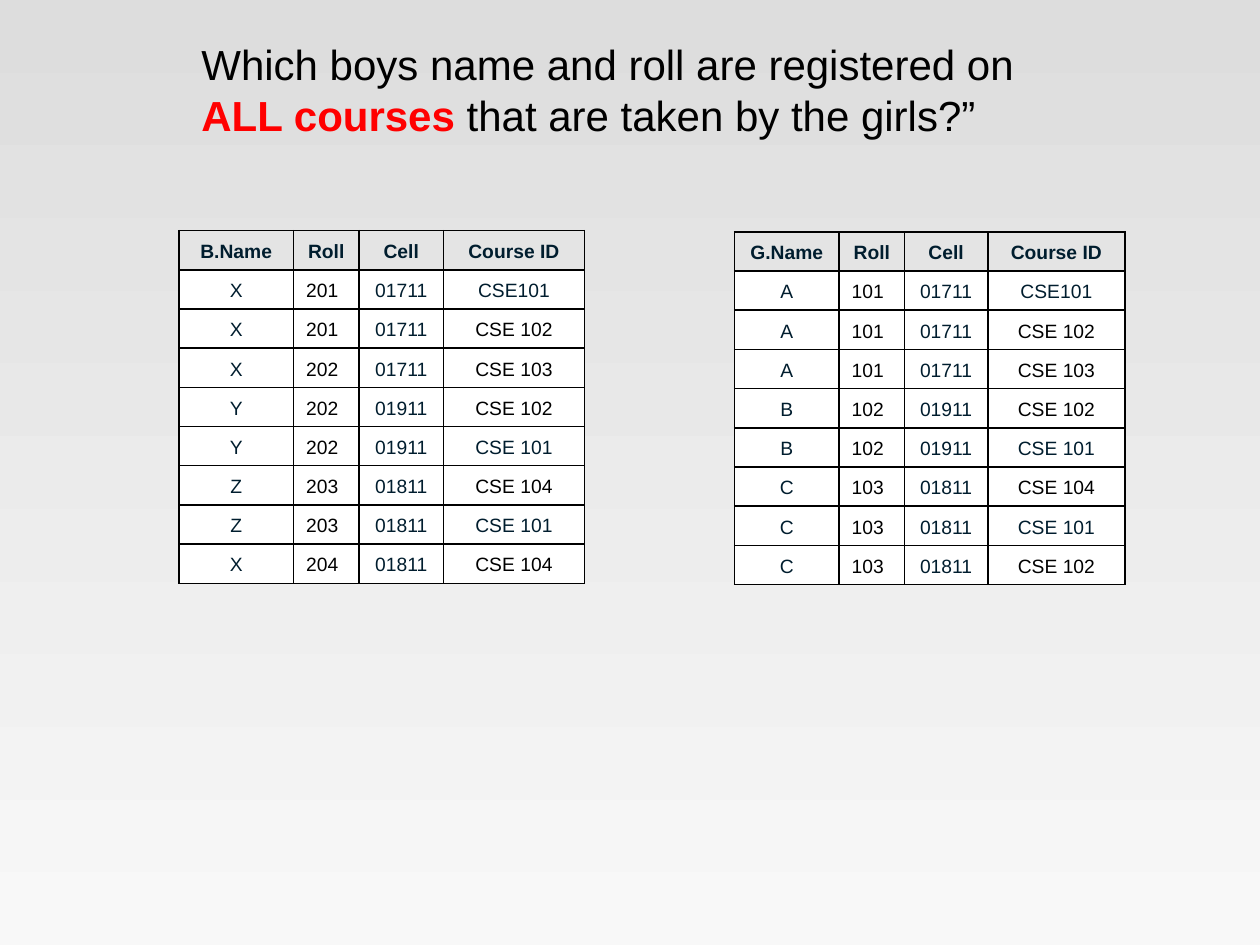
from lxml import etree
from pptx import Presentation
from pptx import util as u
from pptx.dml.color import RGBColor
from pptx.enum import text
from pptx.oxml import ns

BLACK = RGBColor(0x00, 0x00, 0x00)
WHITE = RGBColor(0xFF, 0xFF, 0xFF)
RED = RGBColor(0xFF, 0x00, 0x00)
NAVY = RGBColor(0x00, 0x1D, 0x2E)
BACKGROUND_TOP = RGBColor(0xDD, 0xDD, 0xDD)
BACKGROUND_BOTTOM = RGBColor(0xF8, 0xF8, 0xF8)

COURSE_HEADERS = ["Roll", "Cell", "Course ID"]
BOYS = [
    ("X", "201", "01711", "CSE101"),
    ("X", "201", "01711", "CSE 102"),
    ("X", "202", "01711", "CSE 103"),
    ("Y", "202", "01911", "CSE 102"),
    ("Y", "202", "01911", "CSE 101"),
    ("Z", "203", "01811", "CSE 104"),
    ("Z", "203", "01811", "CSE 101"),
    ("X", "204", "01811", "CSE 104"),
]
GIRLS = [
    ("A", "101", "01711", "CSE101"),
    ("A", "101", "01711", "CSE 102"),
    ("A", "101", "01711", "CSE 103"),
    ("B", "102", "01911", "CSE 102"),
    ("B", "102", "01911", "CSE 101"),
    ("C", "103", "01811", "CSE 104"),
    ("C", "103", "01811", "CSE 101"),
    ("C", "103", "01811", "CSE 102"),
]


def add_text(paragraph, words, size=11, color=BLACK, bold=False):
    run = paragraph.add_run()
    run.text = words
    run.font.name = "Arial"
    run.font.size = u.Pt(size)
    run.font.bold = bold
    run.font.color.rgb = color


def set_background(slide):
    fill = slide.background.fill
    fill.gradient()
    fill.gradient_angle = 270
    for stop, color in zip(fill.gradient_stops, (BACKGROUND_TOP, BACKGROUND_BOTTOM)):
        stop.color.rgb = color


def add_question(slide, left, top, width, height):
    box = slide.shapes.add_textbox(*map(u.Inches, (left, top, width, height)))
    box.text_frame.word_wrap = True
    paragraph = box.text_frame.paragraphs[0]
    add_text(paragraph, "Which boys name and roll are registered on ", size=24)
    add_text(paragraph, "ALL courses ", size=24, color=RED, bold=True)
    add_text(paragraph, "that are taken by the girls?”", size=24)


def add_borders(cell):
    properties = cell._tc.get_or_add_tcPr()
    for position, side in enumerate(("lnL", "lnR", "lnT", "lnB")):
        line = etree.Element(ns.qn(f"a:{side}"), w=str(u.Pt(1)))
        fill = etree.SubElement(line, ns.qn("a:solidFill"))
        etree.SubElement(fill, ns.qn("a:srgbClr"), val=str(BLACK))
        properties.insert(position, line)


def value_color(column, value):
    is_navy = column in (0, 2) or value.endswith("101") and column == 3
    return NAVY if is_navy else BLACK


def add_registrations(slide, left, top, height, column_widths, name_header, records):
    rows = [(name_header, *COURSE_HEADERS), *records]
    frame = slide.shapes.add_table(
        len(rows), len(column_widths), u.Inches(left), u.Inches(top),
        u.Inches(sum(column_widths)), u.Inches(height))
    table = frame.table
    table.first_row = table.horz_banding = False
    for column, width in zip(table.columns, column_widths):
        column.width = u.Inches(width)

    for row_index, values in enumerate(rows):
        is_header = row_index == 0
        for column, value in enumerate(values):
            cell = table.cell(row_index, column)
            cell.vertical_anchor = text.MSO_ANCHOR.MIDDLE
            if is_header:
                cell.fill.background()
            else:
                cell.fill.solid()
                cell.fill.fore_color.rgb = WHITE
            add_borders(cell)
            paragraph = cell.text_frame.paragraphs[0]
            paragraph.line_spacing = 1.15
            is_roll = column == 1 and not is_header
            paragraph.alignment = text.PP_ALIGN.LEFT if is_roll else text.PP_ALIGN.CENTER
            color = NAVY if is_header else value_color(column, value)
            add_text(paragraph, value, color=color, bold=is_header)


def main():
    presentation = Presentation()
    presentation.slide_width = u.Inches(10)
    presentation.slide_height = u.Inches(7.5)
    slide = presentation.slides.add_slide(presentation.slide_layouts[6])

    set_background(slide)
    # Question
    add_question(slide, 1.5, 0.26, 7.08, 0.91)
    # Girls on the right, boys on the left
    add_registrations(slide, 5.83, 1.84, 2.8, [0.83, 0.52, 0.66, 1.09], "G.Name", GIRLS)
    add_registrations(slide, 1.42, 1.83, 2.8, [0.91, 0.52, 0.67, 1.12], "B.Name", BOYS)

    presentation.save("out.pptx")


if __name__ == "__main__":
    main()
